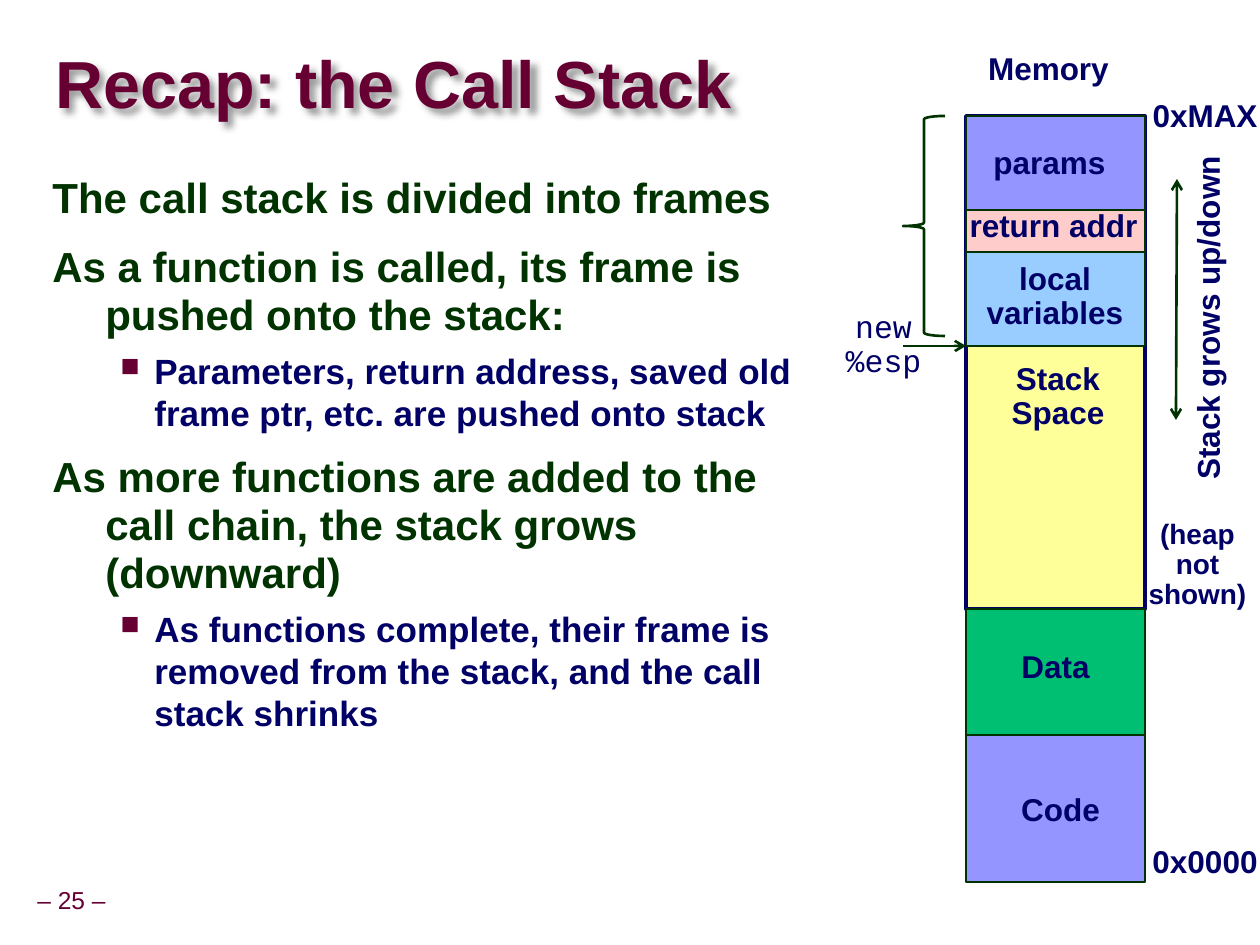
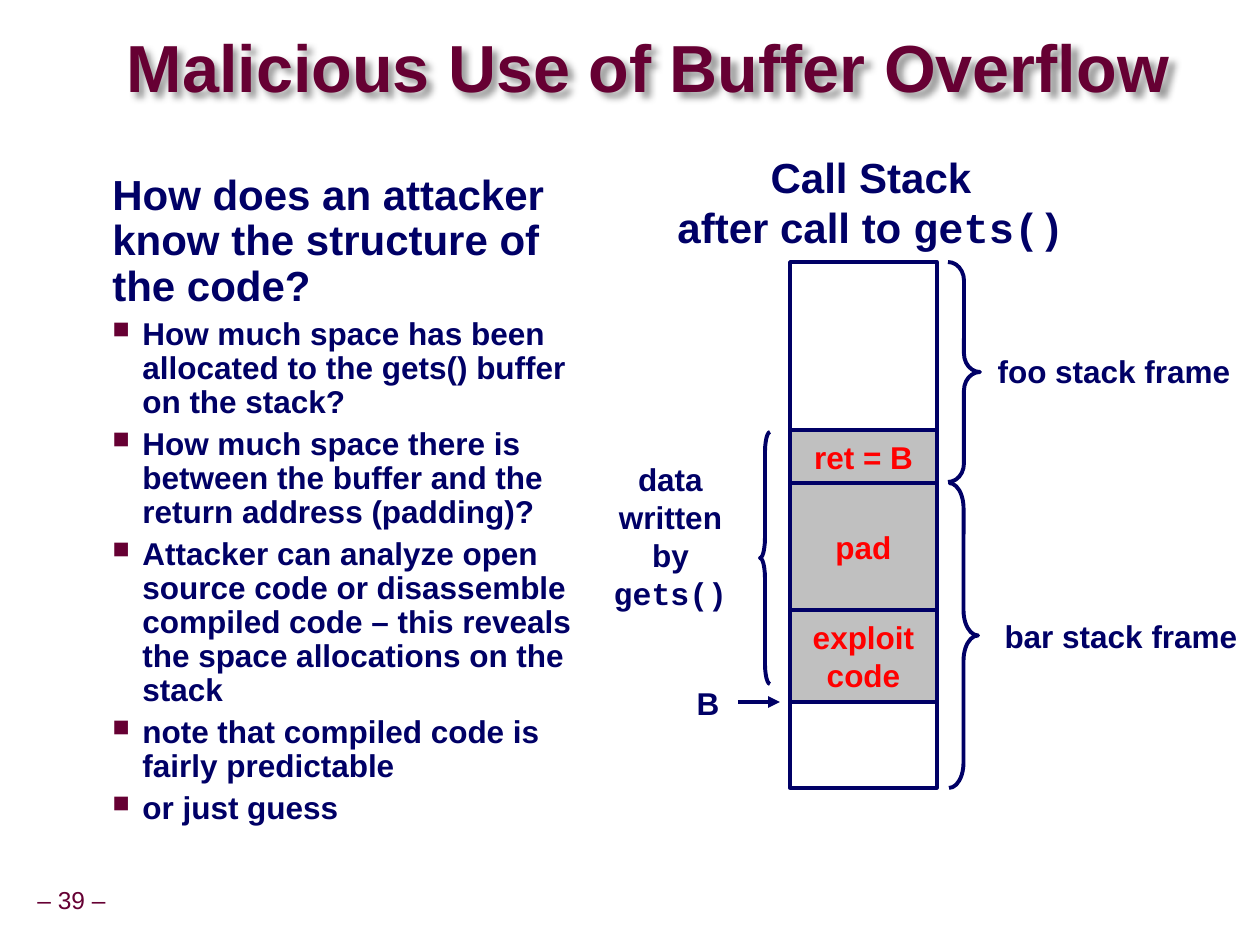
from itertools import pairwise

from pptx import Presentation
from pptx.dml.color import RGBColor
from pptx.enum.shapes import MSO_CONNECTOR, MSO_SHAPE
from pptx.enum.text import MSO_ANCHOR, PP_ALIGN
from pptx.oxml import parse_xml
from pptx.oxml.ns import nsdecls
from pptx.util import Pt

SCALE = 914400 / 126
SANS, MONO = "Arial", "Courier New"
WINE = RGBColor(0x66, 0x00, 0x33)
FOREST = RGBColor(0x00, 0x33, 0x00)
NAVY = RGBColor(0x00, 0x00, 0x66)
RED = RGBColor(0xFF, 0x00, 0x00)
WHITE = RGBColor(0xFF, 0xFF, 0xFF)
GREY = RGBColor(0xC0, 0xC0, 0xC0)
YELLOW = RGBColor(0xFF, 0xFF, 0x99)
GREEN = RGBColor(0x00, 0xBF, 0x73)
VIOLET = RGBColor(0x95, 0x95, 0xFF)
PINK = RGBColor(0xFF, 0xCC, 0xCC)
SKY = RGBColor(0x99, 0xCC, 0xFF)

# Fonts
TITLE = {"name": SANS, "size": Pt(38), "bold": True, "color": WINE}
FOOTER = {"name": SANS, "size": Pt(14), "bold": False, "color": WINE}
LABEL = {"name": SANS, "size": Pt(18), "bold": True, "color": NAVY}
SMALL = LABEL | {"size": Pt(16)}
CAPTION = LABEL | {"size": Pt(24)}
POINTER = LABEL | {"name": MONO, "bold": False}
ALERT = LABEL | {"color": RED}

# Body levels: font, left margin and first-line indent in px, spacing, bullet
TOPIC = {"font": CAPTION | {"color": FOREST}, "margin": 53, "indent": -53,
         "line": 0.95, "before": 12, "bullet": False}
DETAIL = {"font": LABEL | {"size": Pt(20)}, "margin": 102, "indent": -34,
          "line": 1.0, "before": 5.5, "bullet": True}
QUESTION = {"font": CAPTION, "margin": 47, "indent": 0,
            "line": 0.9, "before": 6, "bullet": False}
ANSWER = {"font": LABEL, "margin": 77, "indent": -30,
          "line": 0.9, "before": 4.5, "bullet": True}

RECAP = [
    (TOPIC, "The call stack is divided into frames"),
    (TOPIC, "As a function is called, its frame is pushed onto the stack:"),
    (DETAIL, "Parameters, return address, saved old frame ptr, etc. are pushed onto stack"),
    (TOPIC, "As more functions are added to the call chain, the stack grows (downward)"),
    (DETAIL, "As functions complete, their frame is removed from the stack, "
             "and the call stack shrinks"),
]
ATTACK = [
    (QUESTION, "How does an attacker know the structure of the code?"),
    (ANSWER, "How much space has been allocated to the gets() buffer on the stack?"),
    (ANSWER, "How much space there is between the buffer and the return address (padding)?"),
    (ANSWER, "Attacker can analyze open source code or disassemble compiled code – "
             "this reveals the space allocations on the stack"),
    (ANSWER, "note that compiled code is fairly predictable"),
    (ANSWER, "or just guess"),
]

# Memory map: top, bottom, fill, line colour, line width
MEMORY_LEFT, MEMORY_WIDTH = 966, 179
MEMORY_BLOCKS = [
    (116, 609, YELLOW, NAVY, 2),
    (609, 735, GREEN, FOREST, 1.5),
    (735, 882, VIOLET, FOREST, 1.5),
    (116, 210, VIOLET, FOREST, 1.5),
    (210, 252, PINK, FOREST, 1.5),
    (252, 346, SKY, FOREST, 1.5),
]
# Lines of text, place, font, rotation
MEMORY_LABELS = [
    (["Memory"], (974, 47, 149, 48), LABEL, 0),
    (["0xMAX"], (1138, 94, 134, 48), LABEL, 0),
    (["params"], (980, 141, 139, 48), LABEL, 0),
    (["return addr"], (956, 204, 195, 48), LABEL, 0),
    (["local", "variables"], (973, 257, 164, 82), LABEL, 0),
    (["Stack", "Space"], (998, 357, 120, 82), LABEL, 0),
    (["Data"], (1008, 645, 95, 48), LABEL, 0),
    (["Code"], (1008, 788, 105, 48), LABEL, 0),
    (["0x0000"], (1139, 840, 132, 48), LABEL, 0),
    (["new", "%esp"], (823, 305, 121, 82), POINTER, 0),
    (["Stack grows up/down"], (1034, 294, 353, 48), LABEL, 270),
    (["(heap", "not", "shown)"], (1135, 514, 125, 105), SMALL, 0),
]

# Call stack, top to bottom
STACK_LEFT, STACK_WIDTH = 790, 147
STACK_EDGES = [262, 430, 483, 610, 702, 788]
STACK_CELLS = [(WHITE, []), (GREY, ["ret = B"]), (GREY, ["pad"]),
               (GREY, ["exploit", "code"]), (WHITE, [])]
STACK_LABELS = [
    (["foo stack frame"], (985, 346, 258, 50)),
    (["bar stack frame"], (992, 611, 258, 50)),
    (["B"], (684, 678, 48, 50)),
    (["data", "written", "by", ("gets()", MONO)], (601, 454, 139, 164)),
]
STACK_BRACES = [
    (MSO_SHAPE.RIGHT_BRACE, (948, 262, 32, 220), 0.58),
    (MSO_SHAPE.RIGHT_BRACE, (949, 483, 29, 305), 0.87),
    (MSO_SHAPE.LEFT_BRACE, (760, 432, 10, 252), 2),
]


def px(*lengths):
    return [round(length * SCALE) for length in lengths]


def add_span(para, text, font):
    span = para.add_run()
    span.text = text
    for key, value in font.items():
        if key == "color":
            span.font.color.rgb = value
        else:
            setattr(span.font, key, value)


def set_frame(frame, **settings):
    for key, value in settings.items():
        setattr(frame, key, value)


def write_lines(frame, lines, font, spacing=1.0, align=PP_ALIGN.CENTER):
    """Write one paragraph per line; a line is text, (text, font name) or a list of them."""
    for number, line in enumerate(lines):
        para = frame.paragraphs[0] if number == 0 else frame.add_paragraph()
        para.alignment, para.line_spacing = align, spacing
        for part in line if isinstance(line, list) else [line]:
            text, name = part if isinstance(part, tuple) else (part, font["name"])
            add_span(para, text, font | {"name": name})


def add_label(page, lines, place, font, spacing=1.0, rotation=0, anchor=MSO_ANCHOR.TOP):
    box = page.shapes.add_textbox(*px(*place))
    box.rotation = rotation
    set_frame(box.text_frame, word_wrap=False, vertical_anchor=anchor)
    write_lines(box.text_frame, lines, font, spacing)
    return box


def add_outline(page, kind, place, line, width, fill=None):
    shape = page.shapes.add_shape(kind, *px(*place))
    shape.shadow.inherit = False
    if fill is None:
        shape.fill.background()
    else:
        shape.fill.solid()
        shape.fill.fore_color.rgb = fill
    shape.line.color.rgb = line
    shape.line.width = Pt(width)
    return shape


def add_brace(page, kind, place, line, width, curl):
    brace = add_outline(page, kind, place, line, width)
    brace.adjustments[0] = curl


def add_arrow(page, ends, color, width, **heads):
    """Draw a line with headEnd and/or tailEnd arrowheads, given in that order."""
    arrow = page.shapes.add_connector(MSO_CONNECTOR.STRAIGHT, *px(*ends))
    arrow.line.color.rgb = color
    arrow.line.width = Pt(width)
    properties = arrow.element.spPr
    outline = arrow.line._get_or_add_ln()
    for end, kind in heads.items():
        outline.append(parse_xml(f'<a:{end} {nsdecls("a")} type="{kind}"/>'))
    properties.append(parse_xml(f'<a:effectLst {nsdecls("a")}/>'))


def add_title(page, text, place):
    box = page.shapes.add_textbox(*px(*place))
    set_frame(box.text_frame, word_wrap=True, vertical_anchor=MSO_ANCHOR.MIDDLE,
              margin_left=0, margin_right=0, margin_top=0, margin_bottom=0)
    write_lines(box.text_frame, [text], TITLE, 0.87, PP_ALIGN.LEFT)
    box.element.spPr.append(parse_xml(
        f'<a:effectLst {nsdecls("a")}><a:outerShdw blurRad="50800" dist="50800" dir="2700000">'
        '<a:srgbClr val="000000"><a:alpha val="40000"/></a:srgbClr>'
        '</a:outerShdw></a:effectLst>'))


def add_body(page, items, place):
    frame = page.shapes.add_textbox(*px(*place)).text_frame
    frame.word_wrap = True
    for number, (level, text) in enumerate(items):
        para = frame.paragraphs[0] if number == 0 else frame.add_paragraph()
        para.line_spacing = level["line"]
        para.space_before = Pt(level["before"] if number else 0)
        properties = para._p.get_or_add_pPr()
        margin, indent = px(level["margin"], level["indent"])
        properties.set("marL", str(margin))
        properties.set("indent", str(indent))
        if level["bullet"]:
            for xml in (f'<a:buClr {nsdecls("a")}><a:srgbClr val="{WINE}"/></a:buClr>',
                        f'<a:buSzPct {nsdecls("a")} val="75000"/>',
                        f'<a:buChar {nsdecls("a")} char="■"/>'):
                properties.append(parse_xml(xml))
        add_span(para, text, level["font"])


def add_page(deck, number, title, title_place, items, body_place):
    page = deck.slides.add_slide(deck.slide_layouts[6])
    footer = add_label(page, [f"– {number} –"], (30, 882, 83, 39), FOOTER, 0.9,
                       anchor=MSO_ANCHOR.MIDDLE)
    inset = px(6)[0]
    set_frame(footer.text_frame, margin_left=inset, margin_right=inset)
    add_title(page, title, title_place)
    add_body(page, items, body_place)
    return page


def draw_memory(page):
    for top, bottom, fill, line, width in MEMORY_BLOCKS:
        place = (MEMORY_LEFT, top, MEMORY_WIDTH, bottom - top)
        add_outline(page, MSO_SHAPE.RECTANGLE, place, line, width, fill)
    for lines, place, font, rotation in MEMORY_LABELS:
        add_label(page, lines, place, font, 0.9, rotation)
    add_brace(page, MSO_SHAPE.LEFT_BRACE, (903, 116, 42, 220), FOREST, 1.5, 0.08)
    add_arrow(page, (903, 346, MEMORY_LEFT, 346), FOREST, 1.5, tailEnd="arrow")
    add_arrow(page, (1177, 179, 1176, 420), FOREST, 1.5, headEnd="arrow", tailEnd="arrow")


def draw_call_stack(page):
    add_label(page, ["Call Stack", ["after call to ", ("gets()", MONO)]],
              (663, 145, 416, 115), CAPTION)
    for (top, bottom), (fill, lines) in zip(pairwise(STACK_EDGES), STACK_CELLS):
        place = (STACK_LEFT, top, STACK_WIDTH, bottom - top)
        cell = add_outline(page, MSO_SHAPE.RECTANGLE, place, NAVY, 2.25 if lines else 2, fill)
        set_frame(cell.text_frame, word_wrap=False, vertical_anchor=MSO_ANCHOR.MIDDLE)
        write_lines(cell.text_frame, lines, ALERT)
    for kind, place, curl in STACK_BRACES:
        add_brace(page, kind, place, NAVY, 2.25, curl)
    for lines, place in STACK_LABELS:
        add_label(page, lines, place, LABEL, anchor=MSO_ANCHOR.MIDDLE)
    add_arrow(page, (738, 702, 780, 702), NAVY, 2.25, tailEnd="triangle")


def main():
    deck = Presentation()
    deck.slide_width, deck.slide_height = px(1260, 945)
    draw_memory(add_page(deck, 25, "Recap: the Call Stack", (55, 34, 1201, 107),
                         RECAP, (40, 169, 800, 719)))
    draw_call_stack(add_page(deck, 39, "Malicious Use of Buffer Overflow", (127, 32, 1070, 79),
                             ATTACK, (53, 168, 546, 693)))
    deck.save("out.pptx")


if __name__ == "__main__":
    main()
